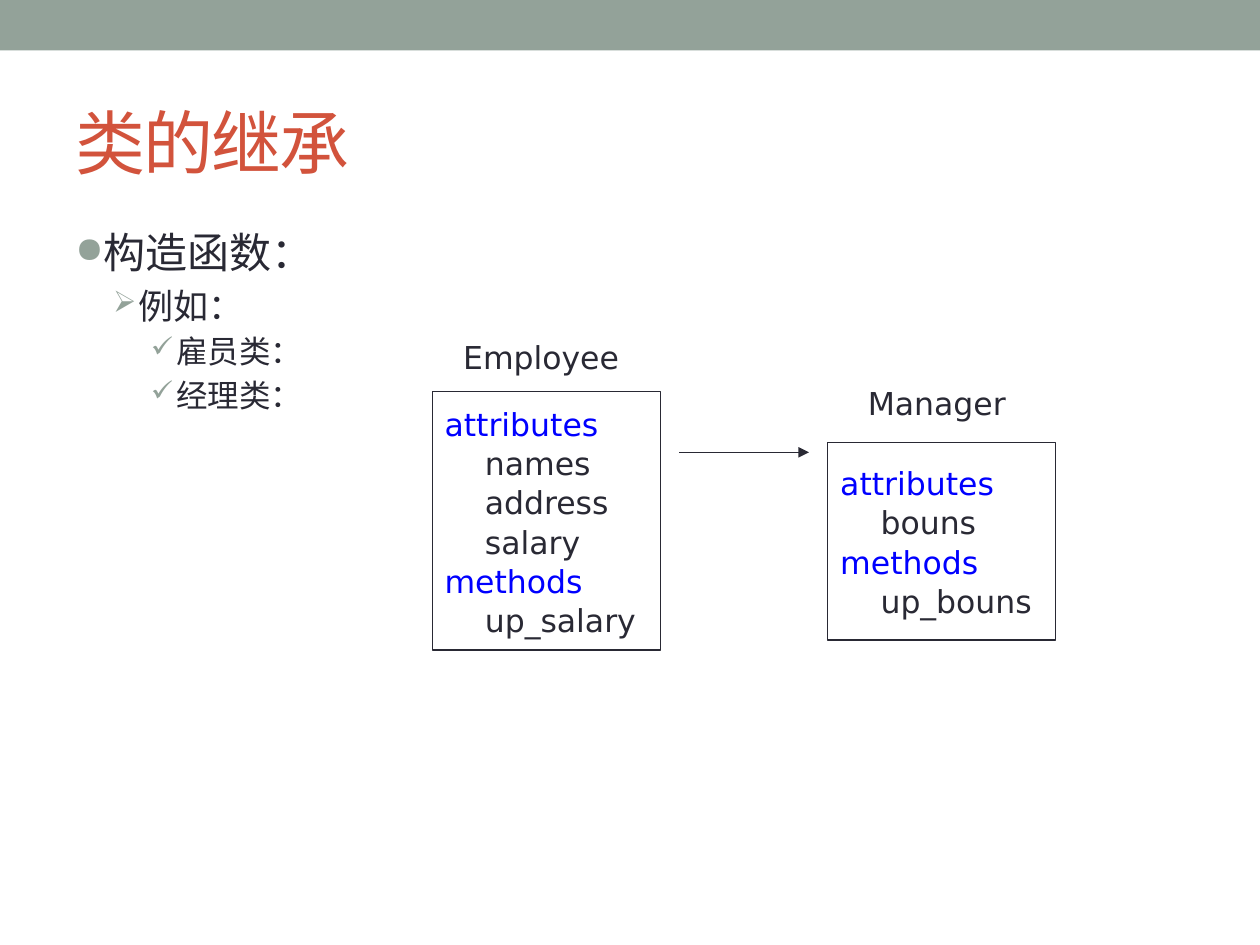
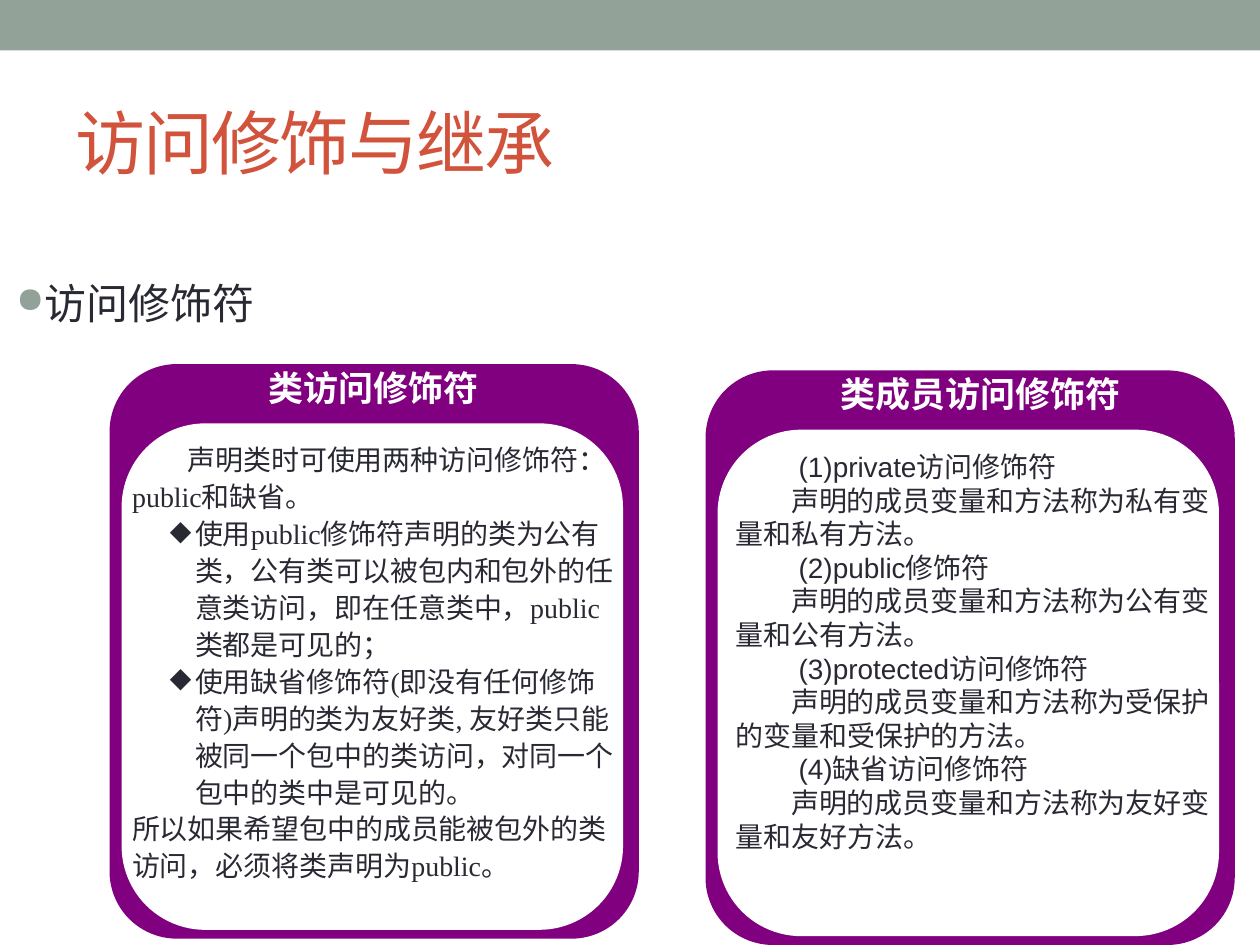
from lxml import etree
from pptx import Presentation
from pptx.dml.color import RGBColor
from pptx.enum.shapes import MSO_CONNECTOR, MSO_SHAPE
from pptx.enum.text import MSO_ANCHOR, PP_ALIGN
from pptx.oxml.ns import qn
from pptx.util import Inches, Pt

RECT, ROUND = MSO_SHAPE.RECTANGLE, MSO_SHAPE.ROUNDED_RECTANGLE
LINE = MSO_CONNECTOR.STRAIGHT
TOP, MID = MSO_ANCHOR.TOP, MSO_ANCHOR.MIDDLE
LEFT, CENTER = PP_ALIGN.LEFT, PP_ALIGN.CENTER

SAGE = RGBColor(0x93, 0xA2, 0x99)
RUST = RGBColor(0xD2, 0x53, 0x3C)
INK = RGBColor(0x29, 0x29, 0x34)
BLUE = RGBColor(0x00, 0x00, 0xFF)
PLUM = RGBColor(0x80, 0x00, 0x80)
WHITE = RGBColor(0xFF, 0xFF, 0xFF)

# The slide is a grid of 100 columns by 75 rows of square cells.
COLS, ROWS = 100, 75
CELL = Inches(0.1)

# font, size, colour, left margin and first-line indent in cells, line spacing
STYLES = {
    "title": ("Arial", 40, RUST, 0, 0, 1),
    "topic": ("Arial", 24, INK, 2, -2, 1),
    "case": ("Arial", 20, INK, 5, -2, 1),
    "item": ("Arial", 18, INK, 8, -2, 1),
    "name": ("DejaVu Sans", 18, INK, 0, 0, 1),
    "part": ("DejaVu Sans", 18, BLUE, 0, 0, 1.04),
    "field": ("DejaVu Sans", 18, INK, 3.2, 0, 1.04),
    "head": ("Arial", 20, WHITE, 0, 0, 1),
    "intro": ("Times New Roman", 16, INK, 0, 4.4, 1.1),
    "point": ("Times New Roman", 16, INK, 5, -2, 1.1),
    "close": ("Times New Roman", 16, INK, 0, 0, 1.1),
    "term": ("Arial", 16, INK, 0, 5, 1),
    "note": ("Arial", 16, INK, 0, 4.4, 1),
}
# mark, colour, share of the text size
MARKS = {
    "topic": ("●", SAGE, 85),
    "case": ("➢", SAGE, 85),
    "item": ("✓", SAGE, 90),
    "point": ("◆", INK, 100),
}


def draw(slide, cells, kind=None, fill=None, line=None):
    """Add a shape, or a text box if no kind is given, placed in grid cells."""
    area = [round(n * CELL) for n in cells]
    if kind is None:
        return slide.shapes.add_textbox(*area)
    shape = slide.shapes.add_shape(kind, *area)
    shape.shadow.inherit = False
    if fill is None:
        shape.fill.background()
    else:
        shape.fill.solid()
        shape.fill.fore_color.rgb = fill
    if line is None:
        shape.line.fill.background()
    else:
        shape.line.color.rgb = line
        shape.line.width = Pt(0.75)
    return shape


def write(box, lines, anchor=TOP, align=LEFT):
    """Fill a box with (style, text) paragraphs."""
    frame = box.text_frame
    frame.word_wrap = True
    frame.vertical_anchor = anchor
    for i, (style, text) in enumerate(lines):
        font, size, color, left, first, space = STYLES[style]
        para = frame.add_paragraph() if i else frame.paragraphs[0]
        para.alignment = align
        para.line_spacing = space
        props = para._p.get_or_add_pPr()
        props.set("marL", str(round(left * CELL)))
        props.set("indent", str(round(first * CELL)))
        if style in MARKS:
            mark, tint, share = MARKS[style]
            paint = etree.SubElement(props, qn("a:buClr"))
            etree.SubElement(paint, qn("a:srgbClr"), val=str(tint))
            etree.SubElement(props, qn("a:buSzPct"), val=str(share * 1000))
            etree.SubElement(props, qn("a:buChar"), char=mark)
            if i and style != "point":
                para.space_before = Pt(size * 0.2)
        run = para.add_run()
        run.text = text
        run.font.name = font
        run.font.size = Pt(size)
        run.font.color.rgb = color
        run.font.bold = style == "head"
        if style == "title":
            run.font._element.set("spc", "-100")


deck = Presentation()
deck.slide_width, deck.slide_height = COLS * CELL, ROWS * CELL
blank = deck.slide_layouts[6]

slides = []
for title in ("类的继承", "访问修饰与继承"):
    slide = deck.slides.add_slide(blank)
    draw(slide, (0, 0, COLS, 4), RECT, SAGE)
    write(draw(slide, (5, 5.8, 90, 10.8)), [("title", title)], MID)
    slides.append(slide)
tree, access = slides

# Slide 1: class diagram
write(draw(tree, (5, 17.5, 90, 53.3)), [
    ("topic", "构造函数："),
    ("case", "例如："),
    ("item", "雇员类："),
    ("item", "经理类："),
])

# name, left, top of box, label height, box height, attributes, methods
classes = [
    ("Manager", 65.7, 35.1, 6.3, 15.7, ["bouns"], ["up_bouns"]),
    ("Employee", 34.3, 31.1, 5.5, 20.5,
     ["names", "address", "salary"], ["up_salary"]),
]
for name, left, top, rise, tall, attrs, methods in classes:
    label = draw(tree, (left, top - rise, 17.3, rise))
    write(label, [("name", name)], MID, CENTER)
    lines = [("part", "attributes")] + [("field", a) for a in attrs]
    lines += [("part", "methods")] + [("field", m) for m in methods]
    write(draw(tree, (left, top, 18.1, tall), RECT, line=INK), lines, MID)

ends = [round(n * CELL) for n in (53.9, 35.9, 64.2, 35.9)]
arrow = tree.shapes.add_connector(LINE, *ends)
arrow.line.color.rgb = INK
arrow.line.width = Pt(0.75)
etree.SubElement(arrow.line._get_or_add_ln(), qn("a:tailEnd"), type="triangle")
etree.SubElement(arrow._element.spPr, qn("a:effectLst"))

# Slide 2: two cards of modifiers
write(draw(access, (0.3, 21.5, 23, 6.8)), [("topic", "访问修饰符")])

members = []
for term, kind in (
    ("(1)private访问修饰符", "私有变量和私有方法"),
    ("(2)public修饰符", "公有变量和公有方法"),
    ("(3)protected访问修饰符", "受保护的变量和受保护的方法"),
    ("(4)缺省访问修饰符", "友好变量和友好方法"),
):
    members += [("term", term), ("note", f"声明的成员变量和方法称为{kind}。")]

# left, top, heading, heading left, text area, text
cards = [
    (8.7, 28.9, "类访问修饰符", 16, (9.5, 34.4, 40.9, 36.3), [
        ("intro", "声明类时可使用两种访问修饰符：public和缺省。"),
        ("point", "使用public修饰符声明的类为公有类，公有类可以被包内和包外的"
                  "任意类访问，即在任意类中，public类都是可见的；"),
        ("point", "使用缺省修饰符(即没有任何修饰符)声明的类为友好类, "
                  "友好类只能被同一个包中的类访问，对同一个包中的类中是可见的。"),
        ("close", "所以如果希望包中的成员能被包外的类访问，"
                  "必须将类声明为public。"),
    ]),
    (56, 29.4, "类成员访问修饰符", 64.2, (57.4, 35.2, 39.9, 33.3), members),
]
for left, top, head, start, area, lines in cards:
    rim = draw(access, (left, top, 42, 45.6), ROUND, PLUM)
    rim.adjustments[0] = 0.127
    core = draw(access, (left + 0.95, top + 4.7, 39.8, 40.2), ROUND, WHITE)
    core.adjustments[0] = 0.167
    bar = draw(access, (start, top - 0.3, 27.3, 4.4))
    write(bar, [("head", head)], align=CENTER)
    write(draw(access, area), lines)

deck.save("out.pptx")
